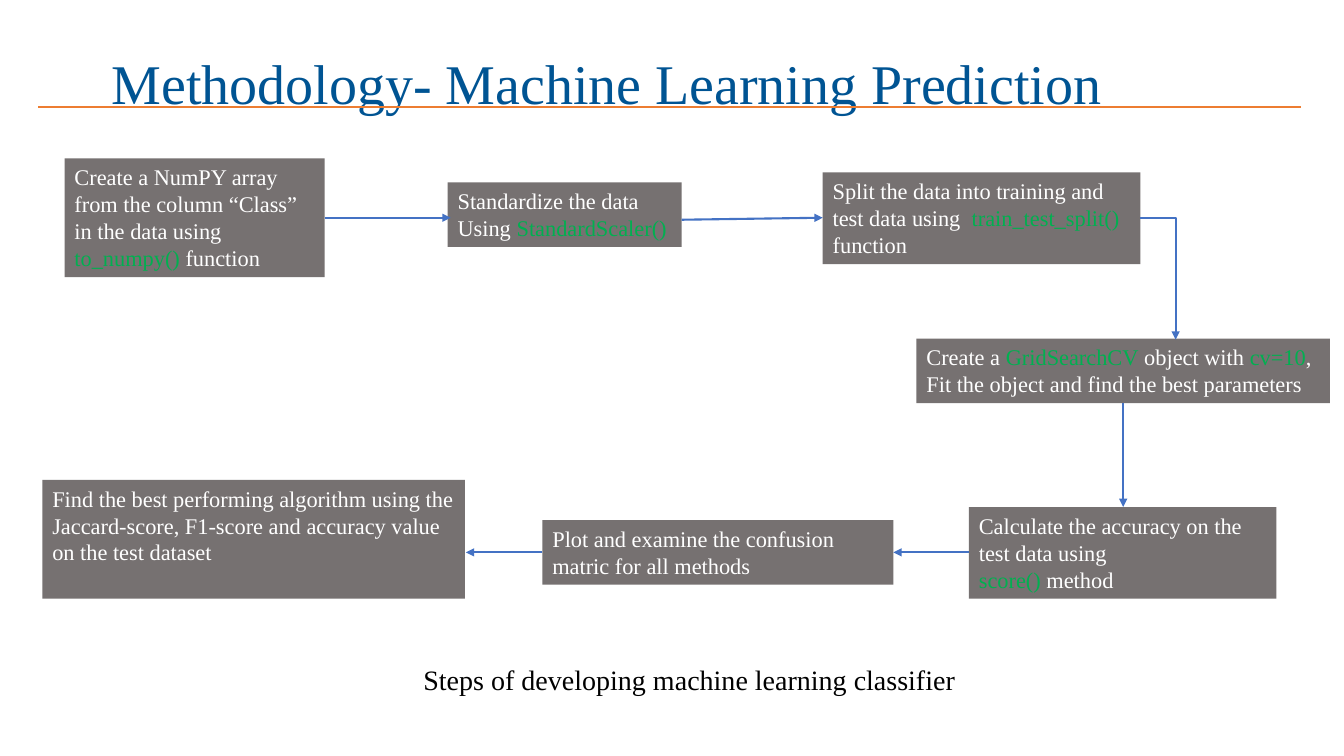
from lxml import etree
from pptx import Presentation
from pptx.dml.color import RGBColor
from pptx.enum.shapes import MSO_CONNECTOR, MSO_SHAPE
from pptx.enum.text import MSO_ANCHOR, PP_ALIGN
from pptx.oxml.ns import qn
from pptx.util import Inches, Pt

STRAIGHT, ELBOW = MSO_CONNECTOR.STRAIGHT, MSO_CONNECTOR.ELBOW
RECTANGLE = MSO_SHAPE.RECTANGLE
TOP, MIDDLE = MSO_ANCHOR.TOP, MSO_ANCHOR.MIDDLE
LEFT = PP_ALIGN.LEFT

COLORS = {"title": "005493", "rule": "ED7D31", "step": "767171", "text": "FFFFFF",
          "code": "00B050", "arrow": "4472C4", "caption": "000000"}
FONT = "Times New Roman"
COLUMNS, ROWS = 133.3, 75
CELL = Inches(7.5) / ROWS

# Regions: left, top, width, height in grid cells
HEADER = (3.8, 1.3, 125.2, 14.5)
FLOW = (4.2, 15.7, 127.7, 43.7)
CAPTION = (41, 65.2, 55.1, 4.4)

# Text with code between backticks, box within the flow region, wrapping
STEPS = [
    ("Create a NumPY array from the column “Class” in the data using `to_numpy()` function",
     (2.2, 0, 25.8, 11.8), True),
    ("Standardize the data\nUsing `StandardScaler()`", (40.2, 2.4, 23.2, 6.4), True),
    ("Split the data into training and test data using  `train_test_split() `function",
     (77.4, 1.4, 31.5, 9.1), True),
    ("Create a `GridSearchCV` object with `cv=10`,\n"
     "Fit the object and find the best parameters", (86.7, 17.9, 41, 6.4), False),
    ("Calculate the accuracy on the test data using\n`score() `method",
     (91.9, 34.6, 30.5, 9.1), True),
    ("Plot and examine the confusion matric for all methods",
     (49.6, 35.9, 34.8, 6.4), True),
    ("Find the best performing algorithm using the\n"
     "Jaccard-score, F1-score and accuracy value on the test dataset",
     (0, 31.9, 41.9, 11.8), True),
]

# Start and end within the flow region
ARROWS = [
    (STRAIGHT, (28, 5.9), (40.5, 5.9)),
    (STRAIGHT, (63.4, 6.1), (77.4, 5.9)),
    (ELBOW, (108.9, 5.9), (112.4, 18)),
    (STRAIGHT, (107.2, 24.3), (107.2, 34.6)),
    (STRAIGHT, (91.9, 39.1), (84.4, 39.1)),
    (STRAIGHT, (49.6, 39.1), (42, 39.1)),
]


def cells(*lengths):
    return [round(length * CELL) for length in lengths]


def color(name):
    return RGBColor.from_string(COLORS[name])


def write(shape, text, size, ink, wrap=True, anchor=TOP, spacing=1.0):
    """Fill a shape with text; each line is a paragraph, backticks mark code."""
    frame = shape.text_frame
    for name, value in {"word_wrap": wrap, "vertical_anchor": anchor}.items():
        setattr(frame, name, value)
    for index, line in enumerate(text.split("\n")):
        para = frame.add_paragraph() if index else frame.paragraphs[0]
        para.alignment, para.line_spacing = LEFT, spacing
        for part, words in enumerate(line.split("`")):
            if not words:
                continue
            span = para.add_run()
            span.text = words
            for name, value in {"name": FONT, "size": Pt(size)}.items():
                setattr(span.font, name, value)
            span.font.color.rgb = color("code" if part % 2 else ink)


def add_line(page, kind, start, end, ink):
    line = page.shapes.add_connector(kind, *cells(*start, *end))
    line.line.color.rgb = color(ink)
    line.line.width = Pt(1.5)
    etree.SubElement(line._element.spPr, qn("a:effectLst"))
    return line


def add_header(page, box):
    left, top, width, height = box
    title = page.shapes.add_textbox(*cells(left + 6.3, top, width - 10.2, height))
    write(title, "Methodology- Machine Learning Prediction", 40, "title",
          anchor=MIDDLE, spacing=0.9)
    rule = top + 9.3
    add_line(page, STRAIGHT, (left, rule), (left + width, rule), "rule")


def add_flow(page, box):
    left, top = box[:2]
    for text, (x, y, width, height), wrap in STEPS:
        step = page.shapes.add_shape(RECTANGLE, *cells(left + x, top + y, width, height))
        step.shadow.inherit = False
        step.fill.solid()
        step.fill.fore_color.rgb = color("step")
        step.line.fill.background()
        write(step, text, 16, "text", wrap)
    for kind, start, end in ARROWS:
        ends = [(left + x, top + y) for x, y in (start, end)]
        arrow = add_line(page, kind, *ends, "arrow")
        etree.SubElement(arrow.line._get_or_add_ln(), qn("a:tailEnd"), type="triangle")
        if kind == ELBOW:  # a single corner: across, then down
            arrow._element.spPr.find(qn("a:prstGeom")).set("prst", "bentConnector2")


def add_caption(page, box):
    caption = page.shapes.add_textbox(*cells(*box))
    write(caption, "Steps of developing machine learning classifier", 20, "caption", wrap=False)


def main():
    deck = Presentation()
    deck.slide_width, deck.slide_height = cells(COLUMNS, ROWS)
    page = deck.slides.add_slide(deck.slide_layouts[6])
    add_header(page, HEADER)
    add_flow(page, FLOW)
    add_caption(page, CAPTION)
    deck.save("out.pptx")


if __name__ == "__main__":
    main()
